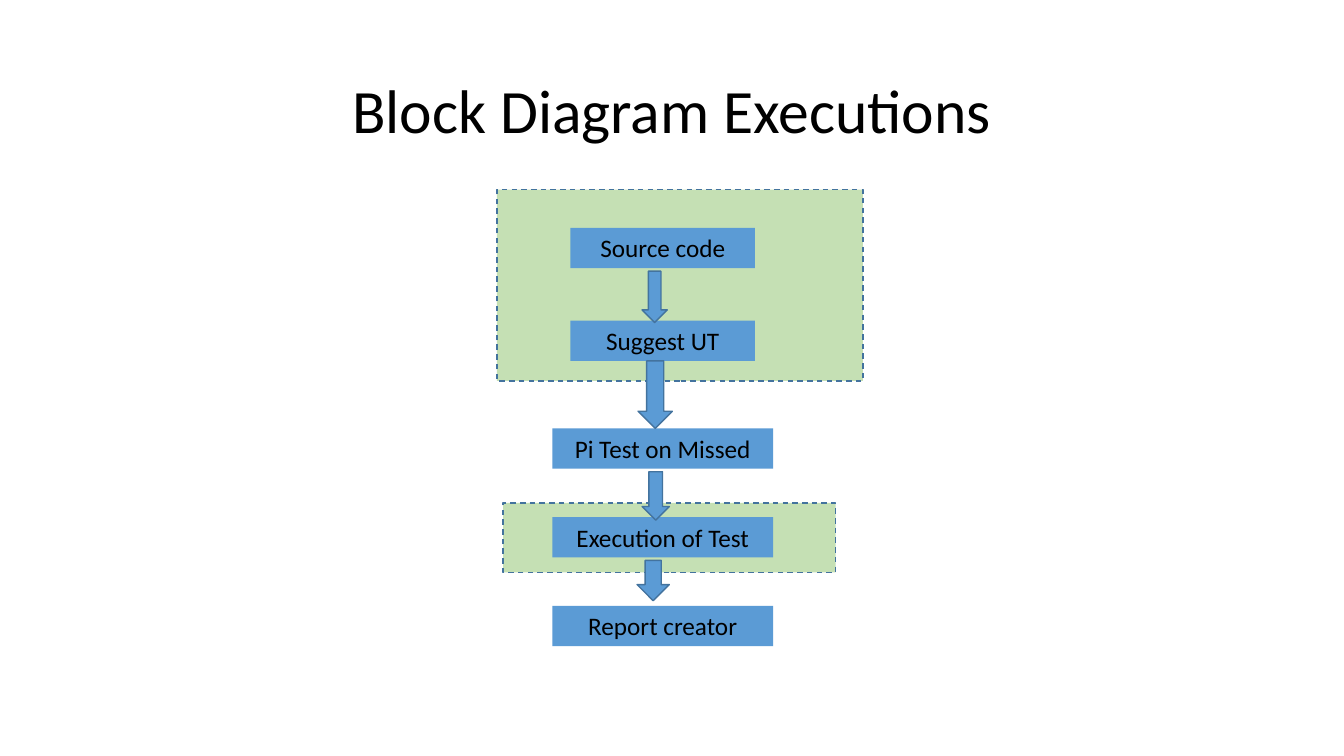
from pptx import Presentation
from pptx.dml.color import RGBColor
from pptx.enum.dml import MSO_LINE
from pptx.enum.shapes import MSO_SHAPE
from pptx.enum.text import MSO_ANCHOR, MSO_AUTO_SIZE, PP_ALIGN
from pptx.util import Inches, Pt

RECTANGLE, DOWN_ARROW = MSO_SHAPE.RECTANGLE, MSO_SHAPE.DOWN_ARROW
DASH = MSO_LINE.DASH
CENTER = PP_ALIGN.CENTER
TOP, MIDDLE = MSO_ANCHOR.TOP, MSO_ANCHOR.MIDDLE
FIT_SHAPE = MSO_AUTO_SIZE.SHAPE_TO_FIT_TEXT

BLACK = RGBColor(0x00, 0x00, 0x00)
BLUE = RGBColor(0x5B, 0x9B, 0xD5)
DARK_BLUE = RGBColor(0x43, 0x73, 0x9E)
GREEN = RGBColor(0xC5, 0xE0, 0xB4)

TITLE_ONLY = 5
STEP_CENTER = 49.31
STEP_HEIGHT = 5.33


class BlockDiagram:
    """Draws on one slide; lengths are percentages of its width and height."""

    font_name = "Calibri"

    def __init__(self, presentation):
        self.width = presentation.slide_width
        self.height = presentation.slide_height
        self.slide = presentation.slides.add_slide(
            presentation.slide_layouts[TITLE_ONLY])

    def box(self, left, top, width, height):
        return (round(self.width * left / 100), round(self.height * top / 100),
                round(self.width * width / 100), round(self.height * height / 100))

    def label(self, frame, text, size, anchor):
        frame.word_wrap = True
        frame.vertical_anchor = anchor
        paragraph = frame.paragraphs[0]
        paragraph.text = text
        paragraph.alignment = CENTER
        paragraph.font.name = self.font_name
        paragraph.font.size = Pt(size)
        paragraph.font.color.rgb = BLACK
        return paragraph

    def title(self, text, left, top, width, height):
        heading = self.slide.shapes.title
        heading.left, heading.top, heading.width, heading.height = self.box(
            left, top, width, height)
        self.label(heading.text_frame, text, 44, MIDDLE).line_spacing = 0.9

    def block(self, kind, fill, left, top, width, height, outlined=True):
        shape = self.slide.shapes.add_shape(
            kind, *self.box(left, top, width, height))
        shape.shadow.inherit = False
        shape.fill.solid()
        shape.fill.fore_color.rgb = fill
        if outlined:
            shape.line.color.rgb = DARK_BLUE
            shape.line.width = Pt(1)
        else:
            shape.line.fill.background()
        return shape

    def panel(self, left, top, width, height):
        self.block(RECTANGLE, GREEN, left, top, width, height).line.dash_style = DASH

    def step(self, text, top, width):
        shape = self.block(RECTANGLE, BLUE, STEP_CENTER - width / 2, top,
                           width, STEP_HEIGHT, outlined=False)
        self.label(shape.text_frame, text, 18, TOP)
        shape.text_frame.auto_size = FIT_SHAPE

    def arrow(self, center, top, width, height):
        self.block(DOWN_ARROW, BLUE, center - width / 2, top, width, height)


def main():
    presentation = Presentation()
    presentation.slide_width = Inches(13.33)
    presentation.slide_height = Inches(7.5)
    diagram = BlockDiagram(presentation)

    # Heading
    diagram.title("Block Diagram Executions", 6.88, 5.33, 86.25, 19.33)

    # Dashed panels: left, top, width, height
    diagram.panel(36.98, 25.07, 27.23, 25.33)
    diagram.panel(37.43, 66.53, 24.75, 9.2)

    # Steps: text, top, width
    narrow, wide = 13.73, 16.43
    for text, top, width in (
        ("Source code", 30.13, narrow),
        ("Suggest UT", 42.4, narrow),
        ("Pi Test on Missed", 56.67, wide),
        ("Execution of Test", 68.4, wide),
        ("Report creator", 80.13, wide),
    ):
        diagram.step(text, top, width)

    # Arrows between the steps: center, top, width, height
    for center, top, width, height in (
        (48.71, 35.87, 1.88, 6.8),
        (48.75, 47.73, 2.55, 8.93),
        (48.79, 62.4, 2.03, 6.4),
        (48.6, 74.13, 2.4, 5.33),
    ):
        diagram.arrow(center, top, width, height)

    presentation.save("out.pptx")


if __name__ == "__main__":
    main()
